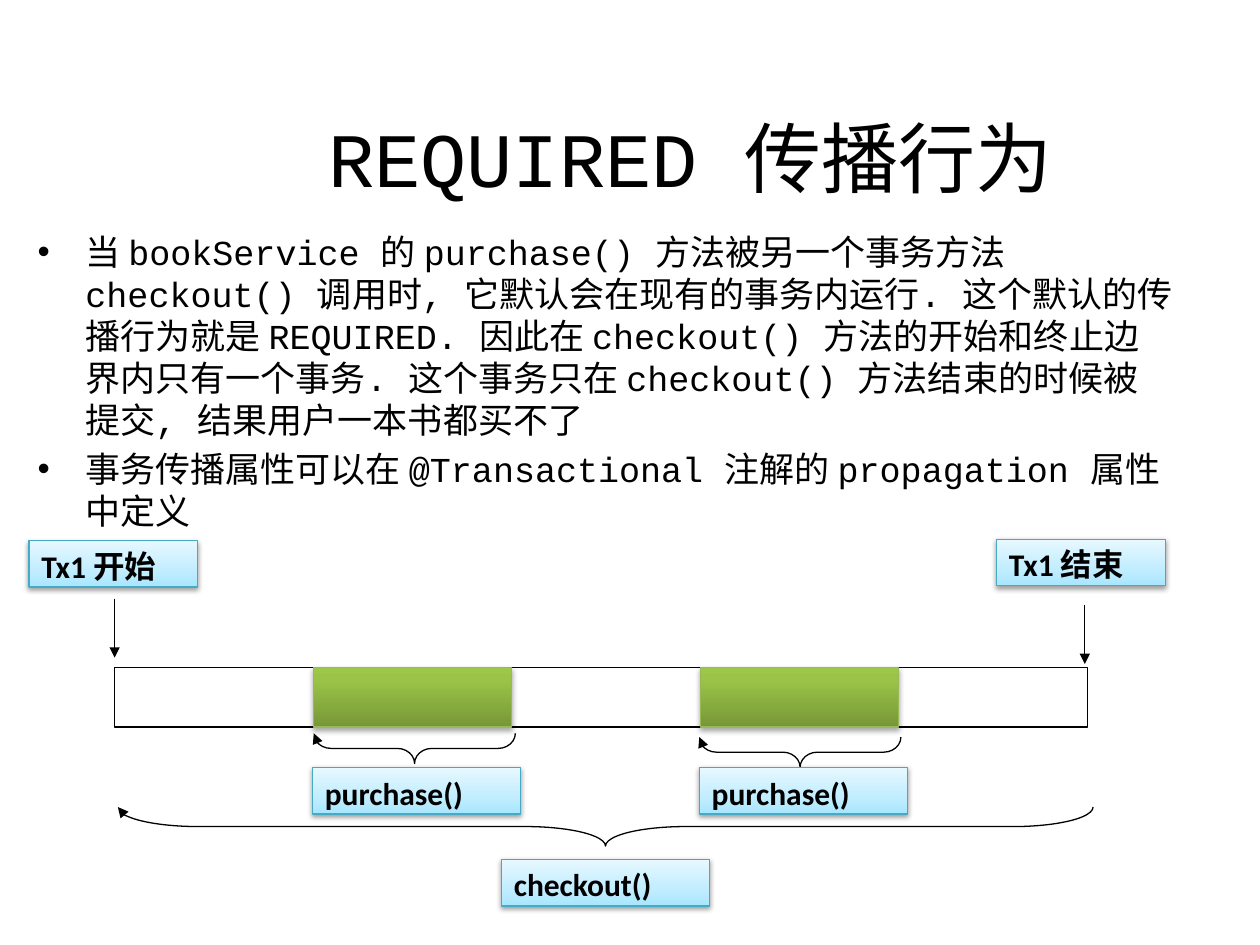
"""Build a slide on the REQUIRED transaction propagation behaviour."""
from pptx import Presentation, oxml
from pptx import util as u
from pptx.dml import color
from pptx.enum import shapes, text
from pptx.oxml import ns

INK = {"black": "000000", "white": "FFFFFF", "cyan": "46AAC5", "green": "98B955"}
BLUE = [(0, "A7E6FF"), (35, "C1EDFF"), (100, "E7F8FF")]
LEAF = [(0, "779737"), (80, "9BC348"), (100, "9DC746")]
NS = ns.nsdecls("a")
KIND = shapes.MSO_SHAPE

deck = Presentation()
deck.slide_width, deck.slide_height = u.Inches(10), u.Inches(7.5)
slide = deck.slides.add_slide(deck.slide_layouts[6])
back = slide.background.fill
back.solid()
back.fore_color.rgb = color.RGBColor.from_string(INK["white"])


def add(kind, box, line, stops=None, alpha=38, dist=1.6):
    """Add an outlined shape, with a gradient and a shadow if stops are given."""
    shape = slide.shapes.add_shape(kind, *map(u.Inches, box))
    shape.line.color.rgb = color.RGBColor.from_string(INK[line])
    shape.line.width = u.Pt(0.75)
    shape.shadow.inherit = False
    shape.fill.background()
    if stops:
        shape.fill.gradient()
        props = shape._element.spPr
        marks = "".join(
            f'<a:gs pos="{pos * 1000}"><a:srgbClr val="{tint}"/></a:gs>' for pos, tint in stops)
        grad = oxml.parse_xml(
            f'<a:gradFill {NS} rotWithShape="1"><a:gsLst>{marks}</a:gsLst>'
            '<a:lin ang="16200000" scaled="0"/></a:gradFill>')
        props.replace(props.find(ns.qn("a:gradFill")), grad)
        props.find(ns.qn("a:effectLst")).append(oxml.parse_xml(
            f'<a:outerShdw {NS} blurRad="{u.Pt(3.1)}" dist="{u.Pt(dist)}" dir="5400000" '
            f'rotWithShape="0"><a:srgbClr val="{INK["black"]}">'
            f'<a:alpha val="{alpha * 1000}"/></a:srgbClr></a:outerShdw>'))
    return shape


def style(para, size, face, bold=False):
    """Set the font of each run in a paragraph."""
    for run in para.runs:
        run.font.size, run.font.name, run.font.bold = u.Pt(size), face, bold
        run.font.color.rgb = color.RGBColor.from_string(INK["black"])


title = slide.shapes.add_textbox(*map(u.Inches, (0.98, 0.77, 9, 0.94))).text_frame
title.word_wrap = True
title.vertical_anchor = text.MSO_ANCHOR.MIDDLE
title.text = "REQUIRED 传播行为"
title.paragraphs[0].alignment = text.PP_ALIGN.CENTER
style(title.paragraphs[0], 44, "Courier New")

body = slide.shapes.add_textbox(*map(u.Inches, (0.2, 1.78, 9.21, 4.48))).text_frame
body.word_wrap = True
body.text = "\n".join([
    "当 bookService 的 purchase() 方法被另一个事务方法 checkout() 调用时, "
    "它默认会在现有的事务内运行. 这个默认的传播行为就是 REQUIRED. "
    "因此在 checkout() 方法的开始和终止边界内只有一个事务. "
    "这个事务只在 checkout() 方法结束的时候被提交, 结果用户一本书都买不了",
    "事务传播属性可以在 @Transactional 注解的 propagation 属性中定义",
])
for para in body.paragraphs:
    para.space_before = u.Pt(4)
    style(para, 20, "Courier New")
    props = para._p.get_or_add_pPr()
    props.set("marL", str(u.Inches(0.38)))
    props.set("indent", str(-u.Inches(0.38)))
    props.append(oxml.parse_xml(f'<a:buFont {NS} typeface="Arial"/>'))
    props.append(oxml.parse_xml(f'<a:buChar {NS} char="•"/>'))

bar = add(KIND.RECTANGLE, (0.91, 5.3, 7.72, 0.47), "black")
bar.fill.solid()
bar.fill.fore_color.rgb = color.RGBColor.from_string(INK["white"])

for left in (2.49, 5.56):
    add(KIND.RECTANGLE, (left, 5.3, 1.57, 0.47), "green", LEAF, 35, 1.8)

for x, top in ((0.91, 4.75), (8.61, 4.8)):
    ends = map(u.Inches, (x, top, x, top + 0.47))
    arrow = slide.shapes.add_connector(shapes.MSO_CONNECTOR.STRAIGHT, *ends)
    arrow.line.color.rgb = color.RGBColor.from_string(INK["black"])
    arrow.line.width = u.Pt(0.75)
    arrow.line._get_or_add_ln().append(oxml.parse_xml(f'<a:tailEnd {NS} type="triangle"/>'))
    arrow._element.spPr.append(oxml.parse_xml(f"<a:effectLst {NS}/>"))

for box, bend in (
    ((4.65, 2.69, 0.31, 7.74), 2.05),
    ((3.17, 5.14, 0.24, 1.6), 0.57),
    ((6.23, 5.17, 0.24, 1.6), 0.57),
):
    brace = add(KIND.RIGHT_BRACE, box, "black")
    brace.rotation = 90
    brace.adjustments[0] = bend
    brace.line._get_or_add_ln().append(oxml.parse_xml(f'<a:tailEnd {NS} type="triangle"/>'))

for words, left, top, width in (
    ("Tx1 开始", 0.23, 4.29, 1.34),
    ("Tx1 结束", 7.91, 4.28, 1.34),
    ("checkout()", 3.98, 6.82, 1.65),
    ("purchase()", 2.48, 6.09, 1.65),
    ("purchase()", 5.55, 6.09, 1.65),
):
    frame = add(KIND.RECTANGLE, (left, top, width, 0.37), "cyan", BLUE).text_frame
    frame.text = words
    frame.vertical_anchor = text.MSO_ANCHOR.TOP
    frame.auto_size = text.MSO_AUTO_SIZE.SHAPE_TO_FIT_TEXT
    frame.paragraphs[0].alignment = text.PP_ALIGN.LEFT
    style(frame.paragraphs[0], 18, "Calibri", True)

deck.save("out.pptx")
